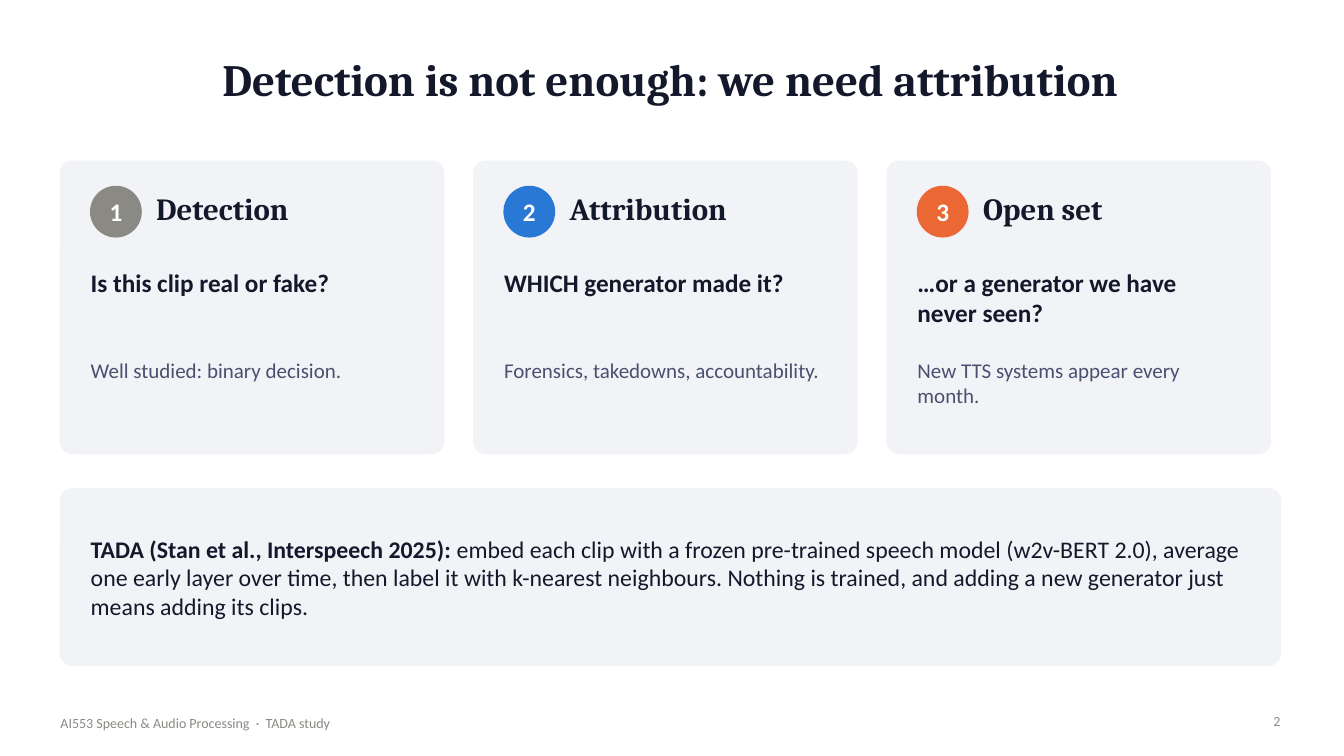
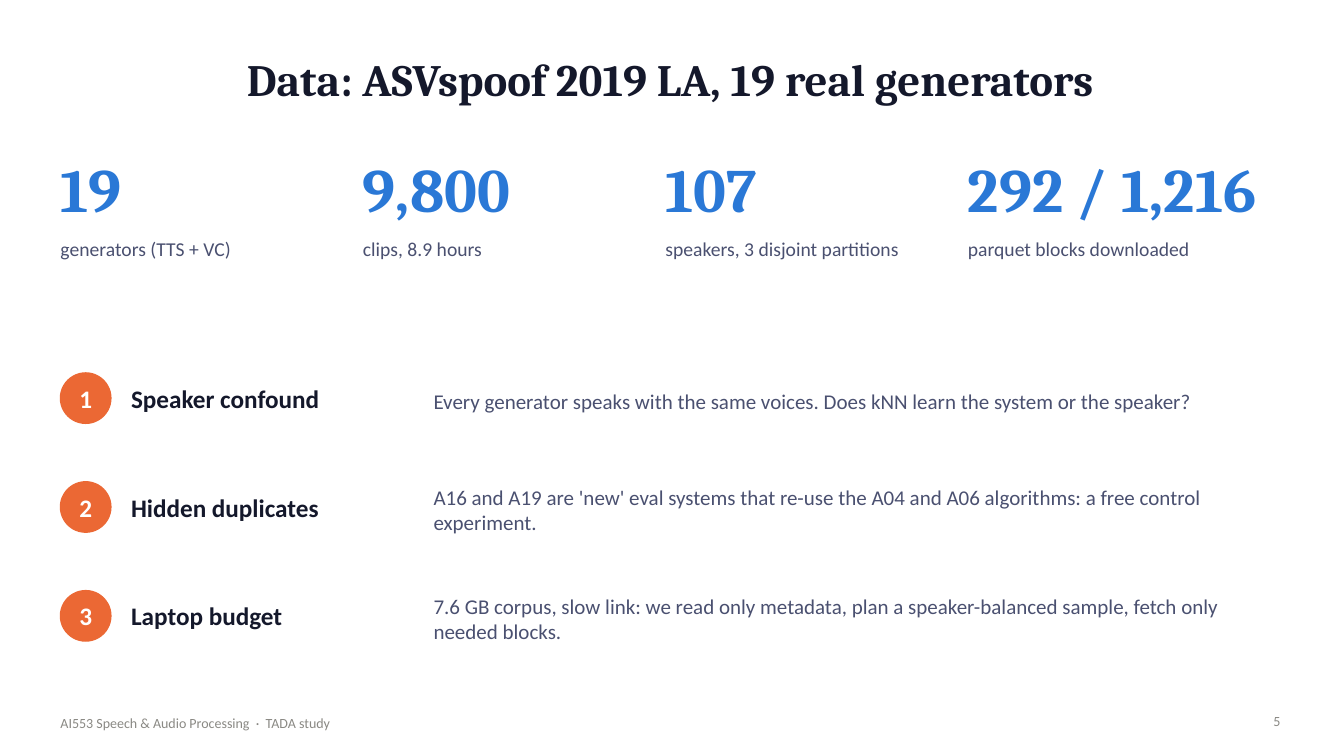
from pptx import Presentation
from pptx.dml.color import RGBColor
from pptx.enum.shapes import MSO_SHAPE
from pptx.enum.text import MSO_ANCHOR, PP_ALIGN
from pptx.util import Inches, Pt

COLORS = {
    "background": "FFFFFF",
    "ink": "14182B",
    "body": "4A5070",
    "muted": "8A8984",
    "panel": "F2F3F7",
    "blue": "2A78D6",
    "orange": "EB6834",
    "white": "FFFFFF",
}
HEADING_FONT = "Cambria"
BODY_FONT = "Calibri"
LEFT = 0.6
CONTENT_WIDTH = 12.1
BADGE_SIZE = 0.5
CORNER_RADIUS = 0.12
FOOTER = "AI553 Speech & Audio Processing  ·  TADA study"


def color(name):
    return RGBColor.from_string(COLORS[name])


def write(shape, runs, size, ink, font=BODY_FONT, align=PP_ALIGN.LEFT, anchor=MSO_ANCHOR.TOP):
    frame = shape.text_frame
    frame.word_wrap = True
    frame.vertical_anchor = anchor
    frame.margin_left = frame.margin_right = frame.margin_top = frame.margin_bottom = 0
    paragraph = frame.paragraphs[0]
    paragraph.alignment = align
    for text, bold in runs:
        run = paragraph.add_run()
        run.text = text
        run.font.name = font
        run.font.size = Pt(size)
        run.font.bold = bold
        run.font.color.rgb = color(ink)


def add_text(slide, box, text, size, ink, bold=False, **style):
    shape = slide.shapes.add_textbox(*map(Inches, box))
    runs = [(text, bold)] if isinstance(text, str) else text
    write(shape, runs, size, ink, **style)


def add_filled(slide, kind, box, fill):
    shape = slide.shapes.add_shape(kind, *map(Inches, box))
    shape.shadow.inherit = False
    shape.fill.solid()
    shape.fill.fore_color.rgb = color(fill)
    shape.line.color.rgb = color(fill)
    shape.line.width = Pt(1)
    return shape


def add_panel(slide, left, top, width, height):
    panel = add_filled(slide, MSO_SHAPE.ROUNDED_RECTANGLE, (left, top, width, height), "panel")
    panel.adjustments[0] = CORNER_RADIUS / min(width, height)


def add_badge(slide, left, top, number, fill):
    badge = add_filled(slide, MSO_SHAPE.OVAL, (left, top, BADGE_SIZE, BADGE_SIZE), fill)
    write(badge, [(str(number), True)], 18, "white",
          align=PP_ALIGN.CENTER, anchor=MSO_ANCHOR.MIDDLE)


def add_slide(prs, title, page):
    slide = prs.slides.add_slide(prs.slide_layouts[6])
    slide.background.fill.solid()
    slide.background.fill.fore_color.rgb = color("background")
    add_text(slide, (LEFT, 7.02, 6, 0.3), FOOTER, 10, "muted", anchor=MSO_ANCHOR.MIDDLE)
    add_text(slide, (LEFT, 0.35, CONTENT_WIDTH, 0.85), title, 32, "ink", True,
             font=HEADING_FONT, align=PP_ALIGN.CENTER, anchor=MSO_ANCHOR.MIDDLE)
    add_text(slide, (12.4, 7.07, 0.3, 0.2), str(page), 10, "muted", align=PP_ALIGN.RIGHT)
    return slide


def add_card(slide, left, number, fill, heading, question, note):
    inner = left + 0.3
    add_panel(slide, left, 1.6, 3.8, 2.9)
    add_badge(slide, inner, 1.85, number, fill)
    add_text(slide, (inner + 0.65, 1.88, 2.7, 0.45), heading, 22, "ink", True, font=HEADING_FONT)
    add_text(slide, (inner, 2.65, 3.2, 0.9), question, 18, "ink", True)
    add_text(slide, (inner, 3.55, 3.2, 0.8), note, 15, "body")


def add_stat(slide, left, value, label):
    width = 3.1
    add_text(slide, (left, 1.5, width, 0.85), value, 44, "blue", True, font=HEADING_FONT)
    add_text(slide, (left, 2.35, width, 0.6), label, 14, "body")


def add_challenge(slide, top, number, name, detail):
    add_badge(slide, LEFT, top + 0.1, number, "orange")
    add_text(slide, (1.3, top, 3, 0.7), name, 18, "ink", True, anchor=MSO_ANCHOR.MIDDLE)
    add_text(slide, (4.3, top, 8.4, 0.75), detail, 15, "body", anchor=MSO_ANCHOR.MIDDLE)


def build_attribution(prs):
    slide = add_slide(prs, "Detection is not enough: we need attribution", 2)
    cards = [
        ("muted", "Detection", "Is this clip real or fake?", "Well studied: binary decision."),
        ("blue", "Attribution", "WHICH generator made it?", "Forensics, takedowns, accountability."),
        ("orange", "Open set", "…or a generator we have never seen?",
         "New TTS systems appear every month."),
    ]
    for index, card in enumerate(cards):
        add_card(slide, LEFT + 4.1 * index, index + 1, *card)
    add_panel(slide, LEFT, 4.85, CONTENT_WIDTH, 1.75)
    summary = [
        ("TADA (Stan et al., Interspeech 2025): ", True),
        ("embed each clip with a frozen pre-trained speech model (w2v-BERT 2.0), average one early "
         "layer over time, then label it with k-nearest neighbours. Nothing is trained, and adding "
         "a new generator just means adding its clips.", False),
    ]
    add_text(slide, (0.9, 5.05, 11.5, 1.35), summary, 17, "ink", anchor=MSO_ANCHOR.MIDDLE)


def build_data(prs):
    slide = add_slide(prs, "Data: ASVspoof 2019 LA, 19 real generators", 5)
    stats = [
        ("19", "generators (TTS + VC)"),
        ("9,800", "clips, 8.9 hours"),
        ("107", "speakers, 3 disjoint partitions"),
        ("292 / 1,216", "parquet blocks downloaded"),
    ]
    for index, stat in enumerate(stats):
        add_stat(slide, LEFT + 3 * index, *stat)
    challenges = [
        ("Speaker confound",
         "Every generator speaks with the same voices. Does kNN learn the system or the speaker?"),
        ("Hidden duplicates",
         "A16 and A19 are 'new' eval systems that re-use the A04 and A06 algorithms: "
         "a free control experiment."),
        ("Laptop budget",
         "7.6 GB corpus, slow link: we read only metadata, plan a speaker-balanced sample, "
         "fetch only needed blocks."),
    ]
    for index, challenge in enumerate(challenges):
        add_challenge(slide, 3.6 + 1.08 * index, index + 1, *challenge)


def main():
    prs = Presentation()
    prs.slide_width = Inches(13.33)
    prs.slide_height = Inches(7.5)
    build_attribution(prs)
    build_data(prs)
    prs.save("out.pptx")


main()
